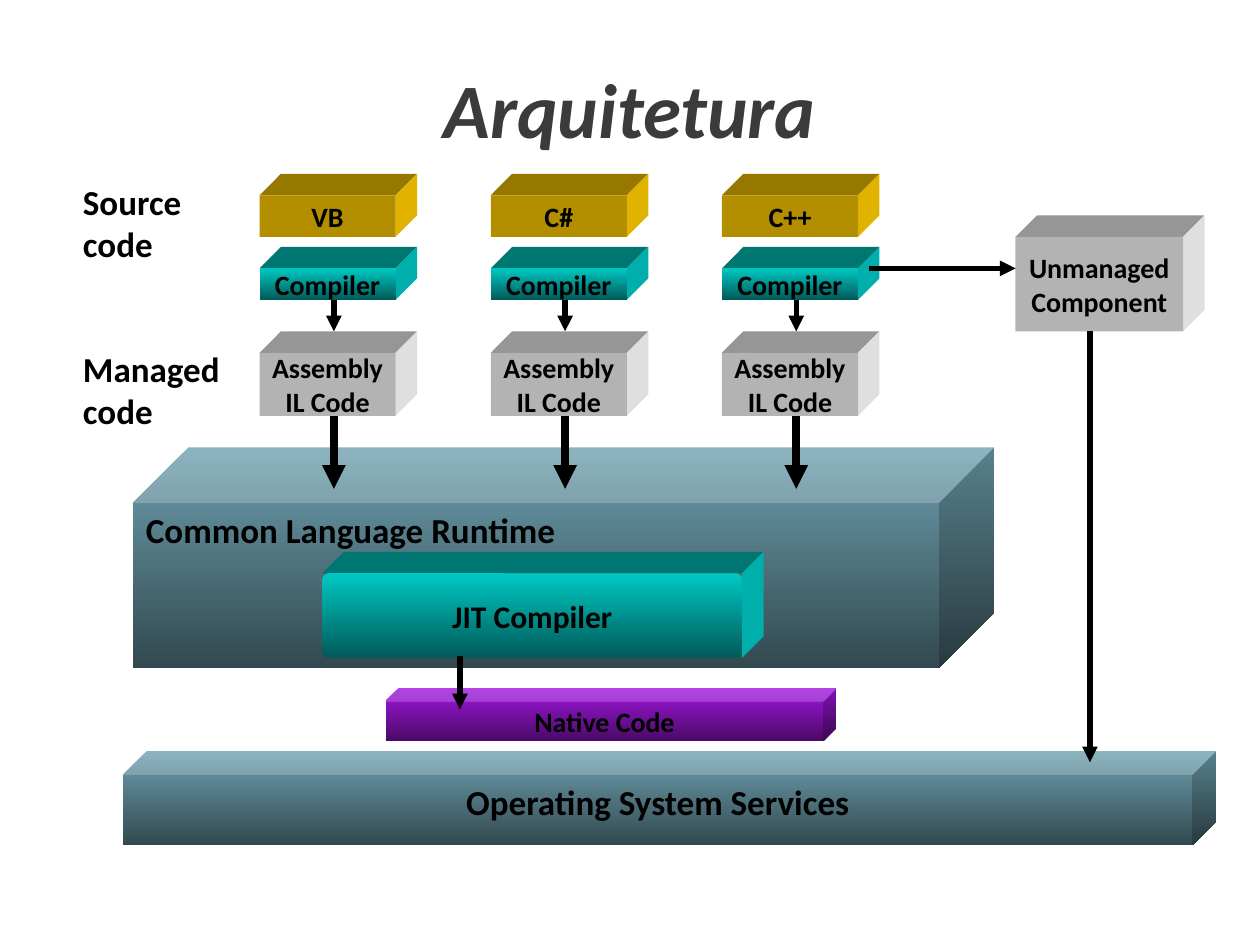
"""Build the Arquitetura slide: from source code to system services."""
from lxml.etree import SubElement
from pptx import Presentation
from pptx.dml.color import RGBColor
from pptx.enum.shapes import MSO_CONNECTOR, MSO_SHAPE
from pptx.enum.text import MSO_ANCHOR, PP_ALIGN
from pptx.oxml.ns import qn
from pptx.util import Inches, Pt

BLACK = RGBColor(0, 0, 0)
INK = RGBColor(0x3B, 0x3B, 0x3B)
GOLD = {"front": [RGBColor(0xB3, 0x8F, 0x00)],
        "top": RGBColor(0x96, 0x78, 0x00), "side": RGBColor(0xDF, 0xB3, 0x00)}
GRAY = {"front": [RGBColor(0xB3, 0xB3, 0xB3)],
        "top": RGBColor(0x96, 0x96, 0x96), "side": RGBColor(0xDF, 0xDF, 0xDF)}
TEAL = {"front": [RGBColor(0x00, 0xC8, 0xC3), RGBColor(0x00, 0x5B, 0x59)],
        "top": RGBColor(0x00, 0x76, 0x72), "side": RGBColor(0x00, 0xAF, 0xAB)}
BLUE = [RGBColor(0x6E, 0xA0, 0xB0), RGBColor(0x32, 0x49, 0x4F)]
PLUM = [RGBColor(0xA1, 0x16, 0xE0), RGBColor(0x4A, 0x0A, 0x66)]

FONT = "Calibri"
DEPTH = 0.17
LEFT, STEP, WIDE = 2.06, 1.835, 1.08
STEM = 2.65
LANGS = ["VB", "C#", "C++"]
ROWS = [(1.55, 0.33, GOLD, None), (2.13, 0.25, TEAL, ["Compiler"]),
        (2.8, 0.5, GRAY, ["Assembly", "IL Code"])]
DROPS = [(2.38, 2.63, 3), (3.3, 3.88, 4.5)]
LABELS = [
    (["Arquitetura"], (0, 0.44, 10, 0.84), 44, INK, True, PP_ALIGN.CENTER),
    (["Source code"], (0.56, 1.38, 1.42, 0.77), 20, BLACK, False, PP_ALIGN.LEFT),
    (["Managed", "code"], (0.56, 2.71, 1.41, 0.77), 20, BLACK, False, PP_ALIGN.LEFT),
]
CUBES = [
    ("Operating System Services", (0.98, 5.96, 8.67, 0.75), BLUE, 20,
     PP_ALIGN.CENTER, MSO_ANCHOR.TOP),
    ("Common Language Runtime", (1.06, 3.55, 6.83, 1.75), BLUE, 20,
     PP_ALIGN.LEFT, MSO_ANCHOR.TOP),
    ("Native Code", (3.06, 5.46, 3.58, 0.42), PLUM, 16,
     PP_ALIGN.CENTER, MSO_ANCHOR.MIDDLE),
]
LINKS = [((6.9, 2.13), (8.06, 2.13)), ((8.65, 2.63), (8.65, 6.05)),
         ((3.65, 5.21), (3.65, 5.63))]


def write(frame, lines, size, color=BLACK, slant=False, align=PP_ALIGN.CENTER):
    for i, line in enumerate(lines):
        para = frame.paragraphs[0] if i == 0 else frame.add_paragraph()
        para.alignment = align
        run = para.add_run()
        run.text = line
        run.font.name, run.font.size = FONT, Pt(size)
        run.font.bold, run.font.italic = True, slant
        run.font.color.rgb = color


def paint(shape, colors):
    shape.shadow.inherit = False
    shape.line.fill.background()
    if len(colors) == 1:
        shape.fill.solid()
        shape.fill.fore_color.rgb = colors[0]
        return
    shape.fill.gradient()
    shape.fill.gradient_angle = 270
    for stop, color in zip(shape.fill.gradient_stops, colors):
        stop.color.rgb = color


def add_face(shapes, points, color):
    dots = [(Inches(x), Inches(y)) for x, y in points]
    pen = shapes.build_freeform(*dots[0])
    pen.add_line_segments(dots[1:], close=True)
    paint(pen.convert_to_shape(), [color])


def add_box(shapes, lines, place, skin, size=16, bend=0):
    x, y, w, h = place
    r, b, d = x + w, y + h, DEPTH
    add_face(shapes, [(x, y), (x + d, y - d), (r + d, y - d), (r, y)], skin["top"])
    add_face(shapes, [(r, y), (r + d, y - d), (r + d, b - d), (r, b)], skin["side"])
    box = shapes.add_shape(MSO_SHAPE.ROUNDED_RECTANGLE, *map(Inches, place))
    box.adjustments[0] = bend
    paint(box, skin["front"])
    box.text_frame.word_wrap = False
    box.text_frame.vertical_anchor = MSO_ANCHOR.MIDDLE
    write(box.text_frame, lines, size)


def add_cube(shapes, text, place, colors, size, align, anchor):
    cube = shapes.add_shape(MSO_SHAPE.CUBE, *map(Inches, place))
    cube.adjustments[0] = 0.25
    paint(cube, colors)
    cube.text_frame.word_wrap = True
    cube.text_frame.vertical_anchor = anchor
    write(cube.text_frame, [text], size, align=align)


def add_arrow(shapes, start, end, width=3):
    link = shapes.add_connector(MSO_CONNECTOR.STRAIGHT, *map(Inches, start + end))
    link.line.color.rgb = BLACK
    link.line.width = Pt(width)
    props = link._element.spPr
    SubElement(props.find(qn("a:ln")), qn("a:tailEnd"), type="triangle")
    SubElement(props, qn("a:effectLst"))


def main():
    deck = Presentation()
    deck.slide_width, deck.slide_height = Inches(10), Inches(7.5)
    shapes = deck.slides.add_slide(deck.slide_layouts[6]).shapes
    for lines, place, size, color, slant, align in LABELS:
        label = shapes.add_textbox(*map(Inches, place))
        label.text_frame.word_wrap = True
        write(label.text_frame, lines, size, color, slant, align)
    for cube in CUBES[:2]:
        add_cube(shapes, *cube)
    for i, lang in enumerate(LANGS):
        for top, high, skin, lines in ROWS:
            place = (LEFT + i * STEP, top, WIDE, high)
            add_box(shapes, lines or [lang], place, skin)
        for top, end, width in DROPS:
            x = STEM + i * STEP
            add_arrow(shapes, (x, top), (x, end), width)
    add_box(shapes, ["JIT Compiler"], (2.56, 4.55, 3.33, 0.67), TEAL, 18, 0.077)
    add_cube(shapes, *CUBES[2])
    add_box(shapes, ["Unmanaged", "Component"], (8.06, 1.88, 1.33, 0.75), GRAY)
    for start, end in LINKS:
        add_arrow(shapes, start, end)
    deck.save("out.pptx")


if __name__ == "__main__":
    main()
